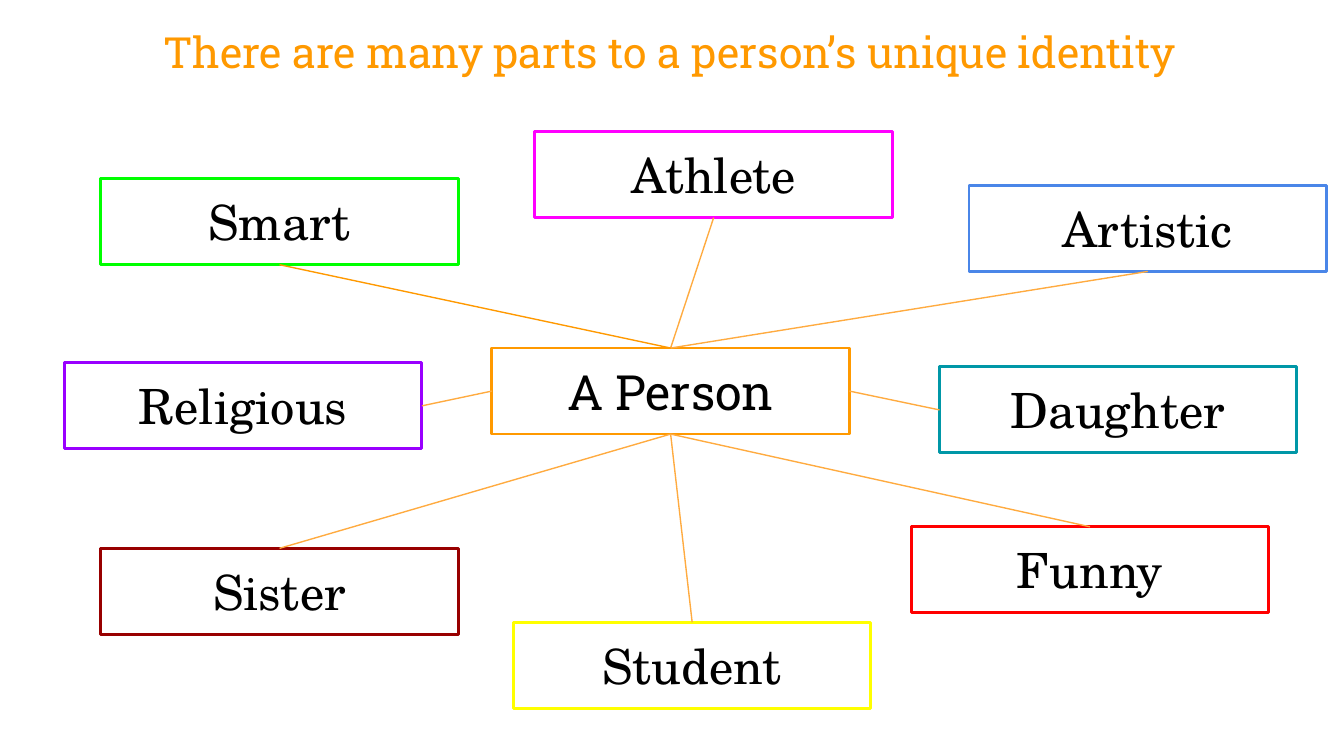
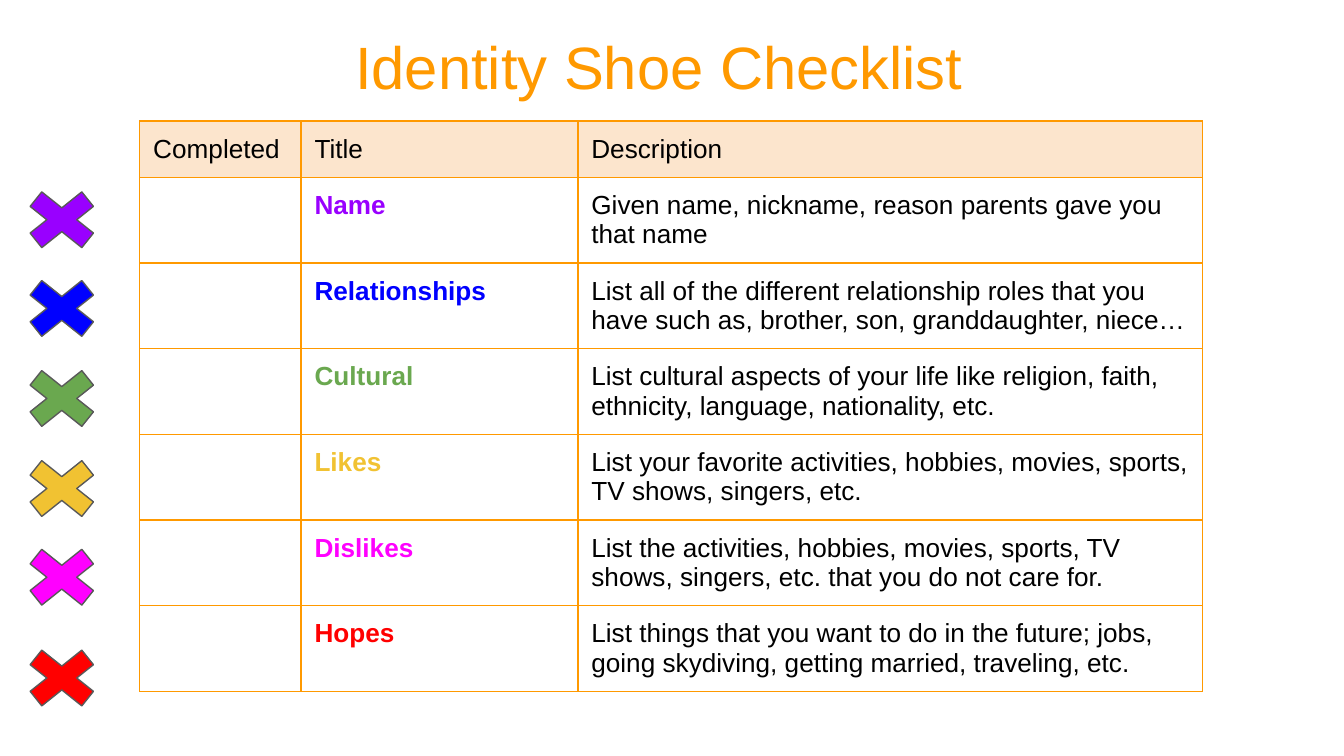
"""Build two slides about the parts of a person's identity."""
from dataclasses import dataclass

from lxml.etree import SubElement
from pptx import Presentation
from pptx.dml.color import RGBColor
from pptx.enum.shapes import MSO_CONNECTOR, MSO_SHAPE
from pptx.enum.text import MSO_ANCHOR, MSO_AUTO_SIZE, PP_ALIGN
from pptx.oxml.ns import qn
from pptx.shapes.autoshape import Shape
from pptx.slide import Slide
from pptx.table import _Cell as Cell
from pptx.text.text import TextFrame, _Paragraph as Paragraph
from pptx.util import Inches, Pt


@dataclass(frozen=True)
class Theme:
    """Colours, fonts, type sizes and line widths of the slides."""
    accent: str = "FF9900"
    spoke: str = "FFAB40"
    header: str = "FCE5CD"
    text: str = "000000"
    outline: str = "595959"
    slab: str = "Roboto Slab"
    serif: str = "TeX Gyre Schola"
    sans: str = "Arial"
    map_title: float = 23
    list_title: float = 32
    label: float = 26
    cell: float = 14
    thin: float = 0.75
    thick: float = 1.5


THEME = Theme()
SLIDE_WIDTH = Inches(10)
SLIDE_HEIGHT = SLIDE_WIDTH * 9 // 16
TOP, LEFT, BOTTOM, RIGHT = range(4)
LABEL_WIDTH, LABEL_HEIGHT = 2.66, 0.64
INSET = Inches(0.1)
CELL_FORMAT = {
    "vertical_anchor": MSO_ANCHOR.TOP,
    "margin_left": INSET,
    "margin_top": INSET,
    "margin_right": INSET,
    "margin_bottom": INSET,
}
FRAME_FORMAT = CELL_FORMAT | {
    "word_wrap": True,
    "auto_size": MSO_AUTO_SIZE.SHAPE_TO_FIT_TEXT,
}


@dataclass(frozen=True)
class Trait:
    """A labelled box and the sites its spoke joins."""
    name: str
    left: float
    top: float
    color: str
    site: int = TOP
    hub_site: int = BOTTOM
    spoke: str = THEME.spoke


@dataclass(frozen=True)
class Task:
    """A checklist row and the top of its mark."""
    title: str
    description: str
    color: str
    mark_top: float


HUB = Trait("A Person", 3.66, 2.59, THEME.accent)
TRAITS = (
    Trait("Artistic", 7.21, 1.38, "4A86E8", BOTTOM, TOP),
    Trait("Athlete", 3.98, 0.98, "FF00FF", BOTTOM, TOP),
    Trait("Smart", 0.75, 1.33, "00FF00", BOTTOM, TOP, THEME.accent),
    Trait("Student", 3.82, 4.63, "FFFF00"),
    Trait("Religious", 0.48, 2.7, "9900FF", RIGHT, LEFT),
    Trait("Sister", 0.75, 4.08, "980000"),
    Trait("Daughter", 6.99, 2.73, "0097A7", LEFT, RIGHT),
    Trait("Funny", 6.78, 3.92, "FF0000"),
)

HEADINGS = ("Completed", "Title", "Description")
COLUMN_WIDTHS = (1.2, 2.06, 4.65)
ROW_HEIGHT = 0.42
TASKS = (
    Task("Name", "Given name, nickname, reason parents gave you that name",
         "9900FF", 1.34),
    Task("Relationships", "List all of the different relationship roles that you "
         "have such as, brother, son, granddaughter, niece…", "0000FF", 2),
    Task("Cultural", "List cultural aspects of your life like religion, faith, "
         "ethnicity, language, nationality, etc.", "6AA84F", 2.67),
    Task("Likes", "List your favorite activities, hobbies, movies, sports, "
         "TV shows, singers, etc.", "F1C232", 3.34),
    Task("Dislikes", "List the activities, hobbies, movies, sports, TV shows, "
         "singers, etc. that you do not care for.", "FF00FF", 4),
    Task("Hopes", "List things that you want to do in the future; jobs, "
         "going skydiving, getting married, traveling, etc.", "FF0000", 4.75),
)


def apply_format(target: object, values: dict) -> None:
    """Set every attribute named in the format values."""
    for name, value in values.items():
        setattr(target, name, value)


def write(paragraph: Paragraph, text: str, font: str, size: float,
          color: str = THEME.text, bold: bool = False) -> None:
    """Put one styled run in a paragraph."""
    run = paragraph.add_run()
    run.text = text
    apply_format(run.font, {"name": font, "size": Pt(size), "bold": bold})
    run.font.color.rgb = RGBColor.from_string(color)


def write_centered(frame: TextFrame, text: str, font: str, size: float,
                   color: str = THEME.text) -> None:
    """Fill a text frame with one centred line."""
    apply_format(frame, FRAME_FORMAT)
    paragraph = frame.paragraphs[0]
    paragraph.alignment = PP_ALIGN.CENTER
    write(paragraph, text, font, size, color)


def add_title(slide: Slide, text: str, box: tuple[float, ...], font: str,
              size: float) -> None:
    """Add the slide title in the accent colour."""
    shape = slide.shapes.add_textbox(*map(Inches, box))
    write_centered(shape.text_frame, text, font, size, THEME.accent)


def add_label(slide: Slide, trait: Trait, font: str) -> Shape:
    """Add an outlined box with a trait name."""
    box = (trait.left, trait.top, LABEL_WIDTH, LABEL_HEIGHT)
    shape = slide.shapes.add_shape(MSO_SHAPE.RECTANGLE, *map(Inches, box))
    shape.shadow.inherit = False
    shape.fill.background()
    shape.line.color.rgb = RGBColor.from_string(trait.color)
    shape.line.width = Pt(THEME.thick)
    write_centered(shape.text_frame, trait.name, font, THEME.label)
    return shape


def add_spoke(slide: Slide, label: Shape, hub: Shape, trait: Trait) -> None:
    """Join a trait box to the hub."""
    connector = slide.shapes.add_connector(MSO_CONNECTOR.STRAIGHT, 0, 0, 0, 0)
    connector.begin_connect(label, trait.site)
    connector.end_connect(hub, trait.hub_site)
    connector.line.color.rgb = RGBColor.from_string(trait.spoke)
    connector.line.width = Pt(THEME.thin)
    SubElement(connector._element.spPr, qn("a:effectLst"))


def add_borders(cell: Cell) -> None:
    """Draw the four accent borders of a cell."""
    properties = cell._tc.get_or_add_tcPr()
    for side in ("lnL", "lnR", "lnT", "lnB"):
        line = SubElement(properties, qn(f"a:{side}"), w=str(Pt(THEME.thin)))
        fill = SubElement(line, qn("a:solidFill"))
        SubElement(fill, qn("a:srgbClr"), val=THEME.accent)


def fill_cell(cell: Cell, text: str, color: str, bold: bool, header: bool) -> None:
    """Style one table cell and write its text."""
    apply_format(cell, CELL_FORMAT)
    add_borders(cell)
    if header:
        cell.fill.solid()
        cell.fill.fore_color.rgb = RGBColor.from_string(THEME.header)
    else:
        cell.fill.background()
    paragraph = cell.text_frame.paragraphs[0]
    if text:
        write(paragraph, text, THEME.sans, THEME.cell, color, bold)
    else:
        paragraph.font.size = Pt(THEME.cell)


def add_checklist(slide: Slide) -> None:
    """Add the table of checklist tasks."""
    rows = [HEADINGS] + [("", task.title, task.description) for task in TASKS]
    box = (1.04, 0.9, sum(COLUMN_WIDTHS), ROW_HEIGHT * len(rows))
    table = slide.shapes.add_table(len(rows), len(HEADINGS), *map(Inches, box)).table
    apply_format(table, {"first_row": False, "horz_banding": False})
    for column, width in zip(table.columns, COLUMN_WIDTHS):
        column.width = Inches(width)
    for row_index, texts in enumerate(rows):
        table.rows[row_index].height = Inches(ROW_HEIGHT)
        for column_index, text in enumerate(texts):
            header = row_index == 0
            bold = not header and column_index == 1
            color = TASKS[row_index - 1].color if bold else THEME.text
            fill_cell(table.cell(row_index, column_index), text, color, bold, header)


def add_mark(slide: Slide, task: Task) -> None:
    """Add the coloured cross of a task."""
    box = (0.09, task.mark_top, 0.74, 0.59)
    shape = slide.shapes.add_shape(MSO_SHAPE.MATH_MULTIPLY, *map(Inches, box))
    shape.adjustments[0] = 0.235
    shape.shadow.inherit = False
    shape.fill.solid()
    shape.fill.fore_color.rgb = RGBColor.from_string(task.color)
    shape.line.color.rgb = RGBColor.from_string(THEME.outline)
    shape.line.width = Pt(THEME.thin)


def build_identity_map(slide: Slide) -> None:
    """Draw the hub with its surrounding traits."""
    add_title(slide, "There are many parts to a person’s unique identity",
              (0.06, 0.09, 9.86, 0.59), THEME.slab, THEME.map_title)
    hub = add_label(slide, HUB, THEME.slab)
    labels = [add_label(slide, trait, THEME.serif) for trait in TRAITS]
    for label, trait in zip(labels, TRAITS):
        add_spoke(slide, label, hub, trait)


def build_checklist(slide: Slide) -> None:
    """Draw the checklist table, its marks and its title."""
    add_checklist(slide)
    for task in TASKS:
        add_mark(slide, task)
    add_title(slide, "Identity Shoe Checklist", (0.31, 0.12, 9.19, 0.74),
              THEME.sans, THEME.list_title)


def main() -> None:
    """Build and save the presentation."""
    presentation = Presentation()
    apply_format(presentation, {"slide_width": SLIDE_WIDTH,
                                "slide_height": SLIDE_HEIGHT})
    for build in (build_identity_map, build_checklist):
        build(presentation.slides.add_slide(presentation.slide_layouts[6]))
    presentation.save("out.pptx")


if __name__ == "__main__":
    main()
